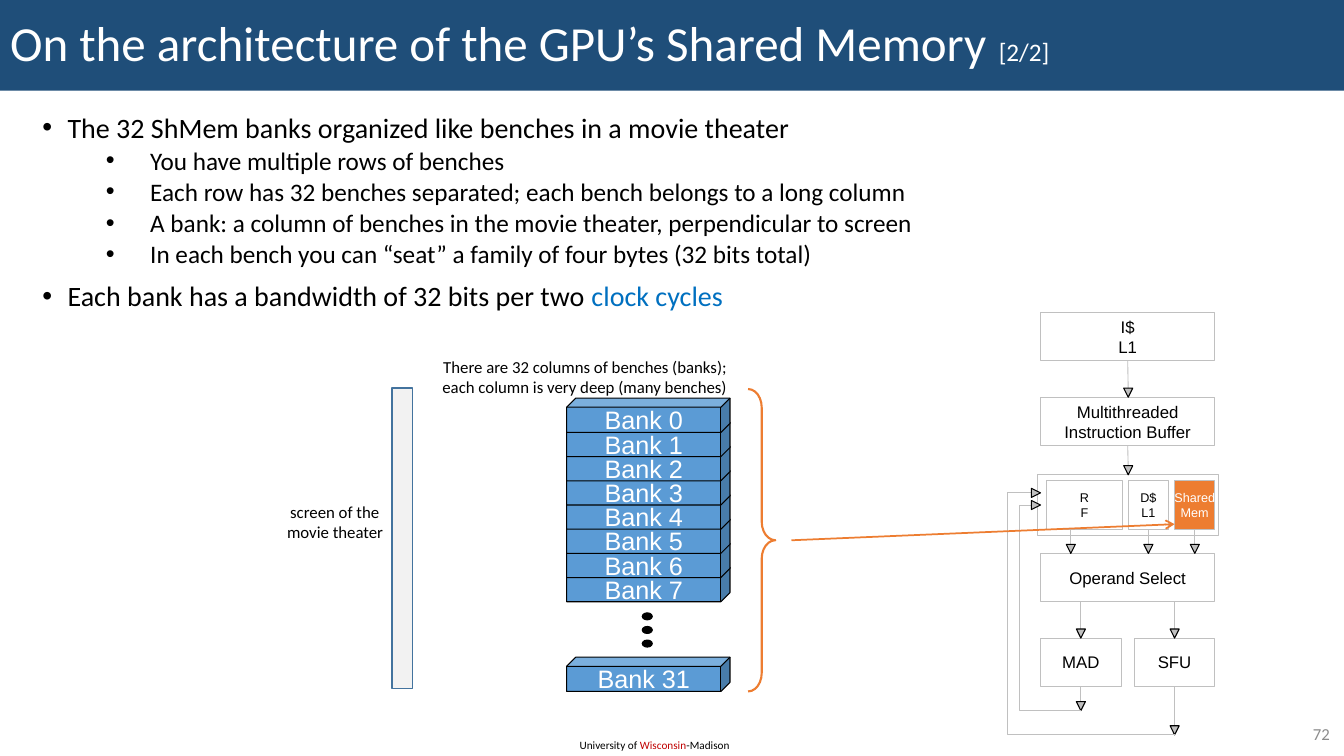
import pptx
import pptx.util
import pptx.dml.color
import pptx.enum.shapes
import pptx.enum.text
import pptx.oxml.ns
from lxml import etree

Inches, Pt = pptx.util.Inches, pptx.util.Pt
SHAPE = pptx.enum.shapes.MSO_SHAPE
ALIGN = pptx.enum.text.PP_ALIGN
ANCHOR = pptx.enum.text.MSO_ANCHOR
NO_FIT = pptx.enum.text.MSO_AUTO_SIZE.NONE

# Content
COLORS = {"navy": "1F4E79", "white": "FFFFFF", "black": "000000", "link": "0070C0",
          "red": "C00000", "orange": "ED7D31", "bank": "5B9BD5", "gray": "C0C0C0",
          "screen": "F2F2F2", "screen edge": "43739E", "number": "8C8C8C"}
TITLE = [("On the architecture of the GPU’s Shared Memory ", 35, "white"),
         ("[2/2]", 18, "white")]
BULLETS = [  # level, line spacing, runs
    (0, 0.8, [("The 32 ShMem banks organized like benches in a movie theater", 20, "black")]),
    (1, 0.8, [("You have multiple rows of benches", 18, "black")]),
    (1, 0.8, [("Each row has 32 benches separated; each bench belongs to a long column",
               18, "black")]),
    (1, 0.8, [("A bank: a column of benches in the movie theater, perpendicular to screen",
               18, "black")]),
    (1, 0.8, [("In each bench you can “seat” a family of four bytes (32 bits total)",
               18, "black")]),
    (0, 0.9, [("Each bank has a bandwidth of 32 bits per two ", 20, "black"),
              ("clock cycles", 20, "link")]),
]
LEVELS = [{"margin": 0.25, "indent": -0.25, "before": 10},
          {"margin": 1.07, "indent": -0.44, "before": 5}]
UNITS = {  # box, lines, text size, fill, text colour
    "memory row": ((10.29, 4.71, 1.79, 0.6), [], 9, "white", "black"),
    "cache": ((10.32, 3.1, 1.73, 0.48), ["I$", "L1"], 12, "white", "black"),
    "buffer": ((10.32, 3.94, 1.73, 0.48), ["Multithreaded", "Instruction Buffer"],
               12, "white", "black"),
    "registers": ((10.38, 4.77, 0.75, 0.48), ["R", "F"], 9, "white", "black"),
    "data cache": ((11.19, 4.77, 0.4, 0.48), ["D$", "L1"], 9, "white", "black"),
    "shared": ((11.65, 4.77, 0.4, 0.48), ["Shared", "Mem"], 9, "orange", "white"),
    "operands": ((10.32, 5.49, 1.73, 0.48), ["Operand Select"], 12, "white", "black"),
    "mad": ((10.32, 6.33, 0.8, 0.48), ["MAD"], 12, "white", "black"),
    "sfu": ((11.25, 6.33, 0.8, 0.48), ["SFU"], 12, "white", "black"),
}
FLOWS = [  # unit the arrow leaves at bottom centre (or None), x, start y, tip y
    ("cache", 11.19, 3.58, 3.94), ("buffer", 11.19, 4.42, 4.71),
    (None, 10.62, 5.25, 5.49), ("data cache", 11.39, 5.25, 5.49),
    ("shared", 11.85, 5.25, 5.49), (None, 10.72, 5.97, 6.33),
    (None, 11.65, 5.97, 6.33), ("mad", 10.72, 6.81, 7.05), ("sfu", 11.65, 6.81, 7.29),
]
FEEDBACK = [(10.72, 7.05, 10.11, 5.01), (11.65, 7.29, 9.99, 4.89)]  # start, left x, end y
FEEDBACK_TIP = 10.32
BANK_TOP, BANK_STEP, LAST_BANK_TOP = 3.95, 0.24, 6.52
BANKS = [(31, LAST_BANK_TOP)] + [(n, BANK_TOP + n * BANK_STEP) for n in range(7, -1, -1)]
LABELS = [  # box, lines of runs, alignment, anchor, wrap
    ((5.65, 7.28, 1.72, 0.24), [[("University of ", 8, "black"), ("Wisconsin", 8, "red"),
                                 ("-Madison", 8, "black")]], ALIGN.LEFT, ANCHOR.TOP, True),
    ((2.73, 4.93, 1.17, 0.5), [[("screen of the ", 12, "black")],
                               [("movie theater", 12, "black")]],
     ALIGN.RIGHT, ANCHOR.TOP, False),
    ((4.26, 3.49, 3.05, 0.5), [[("There are 32 columns of benches (banks); ", 12, "black")],
                               [("each column is very deep (many benches)", 12, "black")]],
     ALIGN.RIGHT, ANCHOR.TOP, True),
    ((12.53, 7.13, 0.76, 0.29), [[("72", 12, "number")]], ALIGN.RIGHT, ANCHOR.MIDDLE, True),
]

deck = pptx.Presentation()
deck.slide_width, deck.slide_height = Inches(13.33), Inches(7.5)
slide = deck.slides.add_slide(deck.slide_layouts[1])
shapes = slide.shapes


def rgb(color):
    return pptx.dml.color.RGBColor.from_string(COLORS[color])


def apply(target, values):
    for key, value in values.items():
        setattr(target, key, value)


def place(part, box):
    apply(part, dict(zip(("left", "top", "width", "height"), map(Inches, box))))


def write(frame, lines, face, align, **frame_format):
    apply(frame, frame_format)
    for index, runs in enumerate(lines):
        paragraph = frame.paragraphs[0] if index == 0 else frame.add_paragraph()
        paragraph.alignment = align
        for words, size, color in runs:
            run = paragraph.add_run()
            run.text = words
            apply(run.font, {"name": face, "size": Pt(size)})
            run.font.color.rgb = rgb(color)


def paint(part, fill=None, line=None, width=0.63):
    part.shadow.inherit = False
    if fill:
        part.fill.solid()
        part.fill.fore_color.rgb = rgb(fill)
    else:
        part.fill.background()
    part.line.color.rgb = rgb(line)
    part.line.width = Pt(width)


def draw(kind, box, *style):
    part = shapes.add_shape(kind, *map(Inches, box))
    paint(part, *style)
    return part


def outline(points, closed, *style):
    corners = [tuple(map(Inches, point)) for point in points]
    builder = shapes.build_freeform(*corners[0])
    builder.add_line_segments(corners[1:], close=closed)
    paint(builder.convert_to_shape(), *style)


def connect(start, end, color, width, source=None):
    link = shapes.add_connector(pptx.enum.shapes.MSO_CONNECTOR.STRAIGHT,
                                *map(Inches, start + end))
    if source is not None:
        link.begin_connect(source, 2)
    link.line.color.rgb = rgb(color)
    link.line.width = Pt(width)
    etree.SubElement(link._element.spPr, pptx.oxml.ns.qn("a:effectLst"))
    return link


def arrowhead(x, y, across, along):
    """Triangle with its tip at x, y; (across, along) is its direction."""
    back_x, back_y = x - 0.09 * across, y - 0.09 * along
    half_x, half_y = 0.045 * along, 0.045 * across
    outline([(x, y), (back_x - half_x, back_y - half_y), (back_x + half_x, back_y + half_y)],
            True, "gray", "black", 0)


# Title band
title = shapes.title
place(title, (0, 0, 13.33, 0.9))
title.fill.solid()
title.fill.fore_color.rgb = rgb("navy")
write(title.text_frame, [TITLE], "Calibri", ALIGN.LEFT,
      vertical_anchor=ANCHOR.MIDDLE, auto_size=NO_FIT, word_wrap=True)
title.text_frame.paragraphs[0].line_spacing = 0.9

# Bulleted list
body = slide.placeholders[1]
place(body, (0.32, 1.11, 9, 4.71))
write(body.text_frame, [runs for _, _, runs in BULLETS], "Calibri", ALIGN.LEFT,
      vertical_anchor=ANCHOR.TOP, auto_size=NO_FIT, word_wrap=True)
for index, (paragraph, (level, spacing, _)) in enumerate(
        zip(body.text_frame.paragraphs, BULLETS)):
    look = LEVELS[level]
    props = paragraph._p.get_or_add_pPr()
    props.set("marL", str(Inches(look["margin"])))
    props.set("indent", str(Inches(look["indent"])))
    etree.SubElement(props, pptx.oxml.ns.qn("a:buFont"), typeface="Arial")
    etree.SubElement(props, pptx.oxml.ns.qn("a:buChar"), char="•")
    apply(paragraph, {"level": level, "line_spacing": spacing, "space_after": Pt(0),
                      "space_before": Pt(look["before"] if index else 0)})

# Processor units
units = {}
for unit, (box, lines, size, fill, color) in UNITS.items():
    units[unit] = draw(SHAPE.RECTANGLE, box, fill, "gray")
    write(units[unit].text_frame, [[(line, size, color)] for line in lines], "Arial",
          ALIGN.CENTER, vertical_anchor=ANCHOR.MIDDLE, word_wrap=False,
          margin_left=0, margin_right=0, margin_top=0, margin_bottom=0)

# Data flow and feedback loops
for unit, x, start, tip in FLOWS:
    connect((x, start), (x, tip - 0.07), "gray", 0.63, units.get(unit))
    arrowhead(x, tip, 0, 1)
for x, y, left, end in FEEDBACK:
    outline([(x, y), (left, y), (left, end), (FEEDBACK_TIP - 0.06, end)],
            False, None, "gray")
    arrowhead(FEEDBACK_TIP, end, 1, 0)

# Banks, lowest first so that each one overlaps the next
for number, top in BANKS:
    bank = draw(SHAPE.CUBE, (5.62, top, 1.62, 0.34), "bank", "black", 0.75)
    bank.adjustments[0] = 0.266
    write(bank.text_frame, [[(f"Bank {number}", 18, "white")]], "Arial", ALIGN.CENTER,
          vertical_anchor=ANCHOR.MIDDLE, word_wrap=False)
for dot in range(3):
    draw(SHAPE.OVAL, (6.37, 6.08 + dot * 0.135, 0.1, 0.07), "black", "black", 0.75)

# Theater screen, brace and pointer to shared memory
draw(SHAPE.RECTANGLE, (3.89, 3.85, 0.2, 2.98), "screen", "screen edge", 1)
brace = draw(SHAPE.RIGHT_BRACE, (7.42, 3.86, 0.27, 3), None, "orange", 1.5)
brace.adjustments[0] = 0.679
pointer = connect((7.85, 5.36), (11.65, 5.2), "orange", 1.25)
etree.SubElement(pointer.line._get_or_add_ln(), pptx.oxml.ns.qn("a:tailEnd"), type="arrow")

# Labels, footer and page number
for box, lines, align, anchor, wrap in LABELS:
    label = shapes.add_textbox(*map(Inches, box))
    write(label.text_frame, lines, "Calibri", align, vertical_anchor=anchor, word_wrap=wrap)

deck.save("out.pptx")
